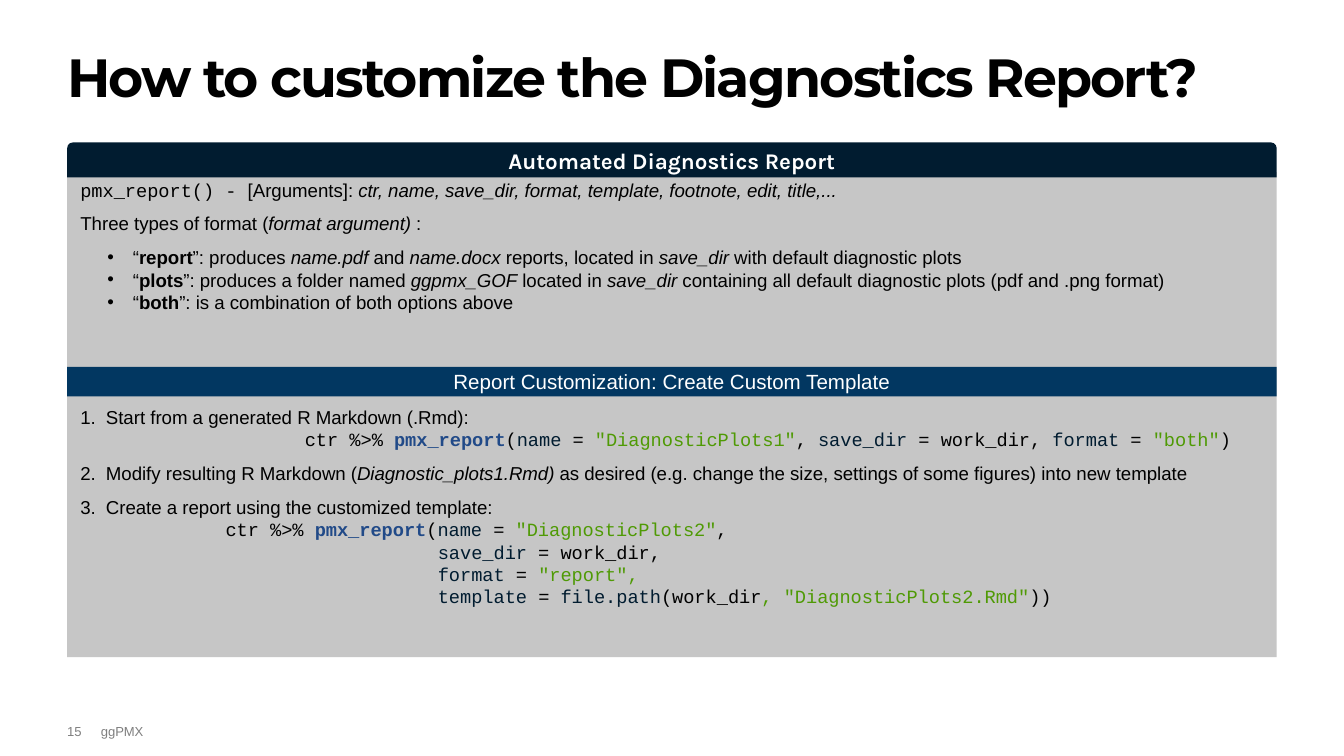
from lxml import etree
from pptx import Presentation
from pptx.dml.color import RGBColor
from pptx.enum.shapes import MSO_SHAPE
from pptx.enum.text import MSO_ANCHOR, PP_ALIGN
from pptx.oxml.ns import qn
from pptx.util import Emu, Inches, Pt

SLIDE_W = 10
SLIDE_H = SLIDE_W * 9 / 16
MARGIN = 0.5
CONTENT_W = SLIDE_W - 2 * MARGIN
BLACK, WHITE, GREY = "000000", "FFFFFF", "7F7F7F"
NAVY, BLUE, PANEL = "011C30", "023761", "C6C6C6"

TITLE = "How to customize the Diagnostics Report?"
REPORT_HEADING = "Automated Diagnostics Report"
TEMPLATE_HEADING = "Report Customization: Create Custom Template"
FOOTER = [("15", MARGIN, 0.25), ("ggPMX", MARGIN + 0.25, 4.15)]

# Run styles: font, colour, bold, italic
STYLES = {
    "text": ("Arial", BLACK, False, False),
    "bold": ("Arial", BLACK, True, False),
    "italic": ("Arial", BLACK, False, True),
    "code": ("Courier New", BLACK, False, False),
    "call": ("Courier New", "214A88", True, False),
    "arg": ("Courier New", NAVY, False, False),
    "string": ("Courier New", "4F9A05", False, False),
}

# Paragraph kinds: left margin, first-line indent (inches)
INDENTS = {
    "plain": (0, 0),
    "bullet": (0.39, -0.19),
    "step": (0.19, -0.19),
    "short call": (1.67, 0),
    "long call": (1.08, 0),
    "argument": (2.66, 0),
}

# Paragraphs: kind, space after (points), runs of (text, style)
REPORT = [
    ("plain", 6, [("pmx_report() - ", "code"), ("[Arguments]: ", "text"),
                  ("ctr, name, save_dir, format, template, footnote, edit, title,...", "italic")]),
    ("plain", 6, [("Three types of format (", "text"), ("format argument)", "italic"), (" :", "text")]),
    ("bullet", 0, [("“", "text"), ("report", "bold"), ("”: produces ", "text"), ("name.pdf", "italic"),
                   (" and ", "text"), ("name.docx ", "italic"), ("reports, located in ", "text"),
                   ("save_dir", "italic"), (" with default diagnostic plots", "text")]),
    ("bullet", 0, [("“", "text"), ("plots", "bold"), ("”: produces a folder named ", "text"),
                   ("ggpmx_GOF", "italic"), (" located in ", "text"), ("save_dir", "italic"),
                   (" containing all default diagnostic plots (pdf and .png format)", "text")]),
    ("bullet", 0, [("“", "text"), ("both", "bold"), ("”: is a combination of both options above", "text")]),
]
STEPS = [
    ("step", 0, [("1.\tStart from a generated R Markdown (.Rmd):", "text")]),
    ("short call", 6, [("ctr %>% ", "code"), ("pmx_report", "call"), ("(", "code"), ("name", "arg"),
                       (" = ", "code"), ('"DiagnosticPlots1"', "string"), (", ", "code"),
                       ("save_dir", "arg"), (" = work_dir, ", "code"), ("format", "arg"),
                       (" = ", "code"), ('"both"', "string"), (")", "code")]),
    ("step", 6, [("2.\tModify resulting R Markdown (", "text"), ("Diagnostic_plots1.Rmd)", "italic"),
                 (" as desired (e.g. change the size, settings of some figures) into new template", "text")]),
    ("step", 0, [("3.\tCreate a report using the customized template:", "text")]),
    ("long call", 0, [("ctr %>% ", "code"), ("pmx_report", "call"), ("(", "code"), ("name", "arg"),
                      (" = ", "code"), ('"DiagnosticPlots2"', "string"), (",", "code")]),
    ("argument", 0, [("save_dir", "arg"), (" = work_dir,", "code")]),
    ("argument", 0, [("format", "arg"), (" = ", "code"), ('"report",', "string")]),
    ("argument", 0, [("template ", "arg"), ("= ", "code"), ("file.path", "arg"), ("(work_dir", "code"),
                     (', "DiagnosticPlots2.Rmd"', "string"), ("))", "code")]),
]


def box(left, top, width, height):
    return [Inches(v) for v in (left, top, width, height)]


def add_run(paragraph, text, size, font, color, bold=False, italic=False):
    run = paragraph.add_run()
    run.text = text
    run.font.size, run.font.name = Pt(size), font
    run.font.bold, run.font.italic = bold, italic
    run.font.color.rgb = RGBColor.from_string(color)
    return run


def set_frame(frame, inset_x=0, inset_y=0, anchor=MSO_ANCHOR.TOP):
    frame.word_wrap = True
    frame.vertical_anchor = anchor
    frame.margin_left = frame.margin_right = Inches(inset_x)
    frame.margin_top = frame.margin_bottom = Inches(inset_y)


def add_block(slide, preset, fill, *place):
    block = slide.shapes.add_shape(preset, *box(*place))
    block.shadow.inherit = False
    block.fill.solid()
    block.fill.fore_color.rgb = RGBColor.from_string(fill)
    block.line.fill.background()
    return block


def add_heading(slide, preset, fill, top, height, text, size, font, bold):
    heading = add_block(slide, preset, fill, MARGIN, top, CONTENT_W, height)
    set_frame(heading.text_frame, anchor=MSO_ANCHOR.MIDDLE)
    paragraph = heading.text_frame.paragraphs[0]
    paragraph.alignment = PP_ALIGN.CENTER
    add_run(paragraph, text, size, font, WHITE, bold)


def write_paragraphs(frame, paragraphs, alignment):
    set_frame(frame, 0.1, 0.05)
    for i, (kind, space_after, runs) in enumerate(paragraphs):
        paragraph = frame.add_paragraph() if i else frame.paragraphs[0]
        paragraph.alignment = alignment
        paragraph.space_after = Pt(space_after)
        props = paragraph._p.get_or_add_pPr()
        for name, inches in zip(("marL", "indent"), INDENTS[kind]):
            props.set(name, str(Emu(Inches(inches))))
        if kind == "bullet":
            etree.SubElement(props, qn("a:buFont"), typeface="Arial")
            etree.SubElement(props, qn("a:buChar"), char="•")
        for text, style in runs:
            add_run(paragraph, text, 10, *STYLES[style])


def main():
    prs = Presentation()
    prs.slide_width, prs.slide_height = Inches(SLIDE_W), Inches(SLIDE_H)
    slide = prs.slides.add_slide(prs.slide_layouts[5])

    title = slide.shapes.title
    title.left, title.top, title.width, title.height = box(MARGIN, 0.38, CONTENT_W, 0.7)
    set_frame(title.text_frame)
    heading = title.text_frame.paragraphs[0]
    heading.alignment, heading.line_spacing = PP_ALIGN.LEFT, 0.9
    run = add_run(heading, TITLE, 28.8, "Montserrat", BLACK, bold=True)
    run.font._element.set("spc", "-100")

    for text, left, width in FOOTER:
        footer = slide.shapes.add_textbox(*box(left, 5.38, width, 0.25)).text_frame
        set_frame(footer)
        add_run(footer.paragraphs[0], text, 7, "Arial", GREY)

    panel = add_block(slide, MSO_SHAPE.RECTANGLE, PANEL, MARGIN, 1.28, CONTENT_W, 3.61)
    write_paragraphs(panel.text_frame, REPORT, PP_ALIGN.JUSTIFY)
    steps = slide.shapes.add_textbox(*box(MARGIN, 2.97, CONTENT_W, 1.92))
    write_paragraphs(steps.text_frame, STEPS, PP_ALIGN.LEFT)

    add_heading(slide, MSO_SHAPE.ROUND_2_SAME_RECTANGLE, NAVY, 1.06, 0.26,
                REPORT_HEADING, 12, "Karla", True)
    add_heading(slide, MSO_SHAPE.RECTANGLE, BLUE, 2.73, 0.22,
                TEMPLATE_HEADING, 11, "Arial", False)
    prs.save("out.pptx")


if __name__ == "__main__":
    main()
